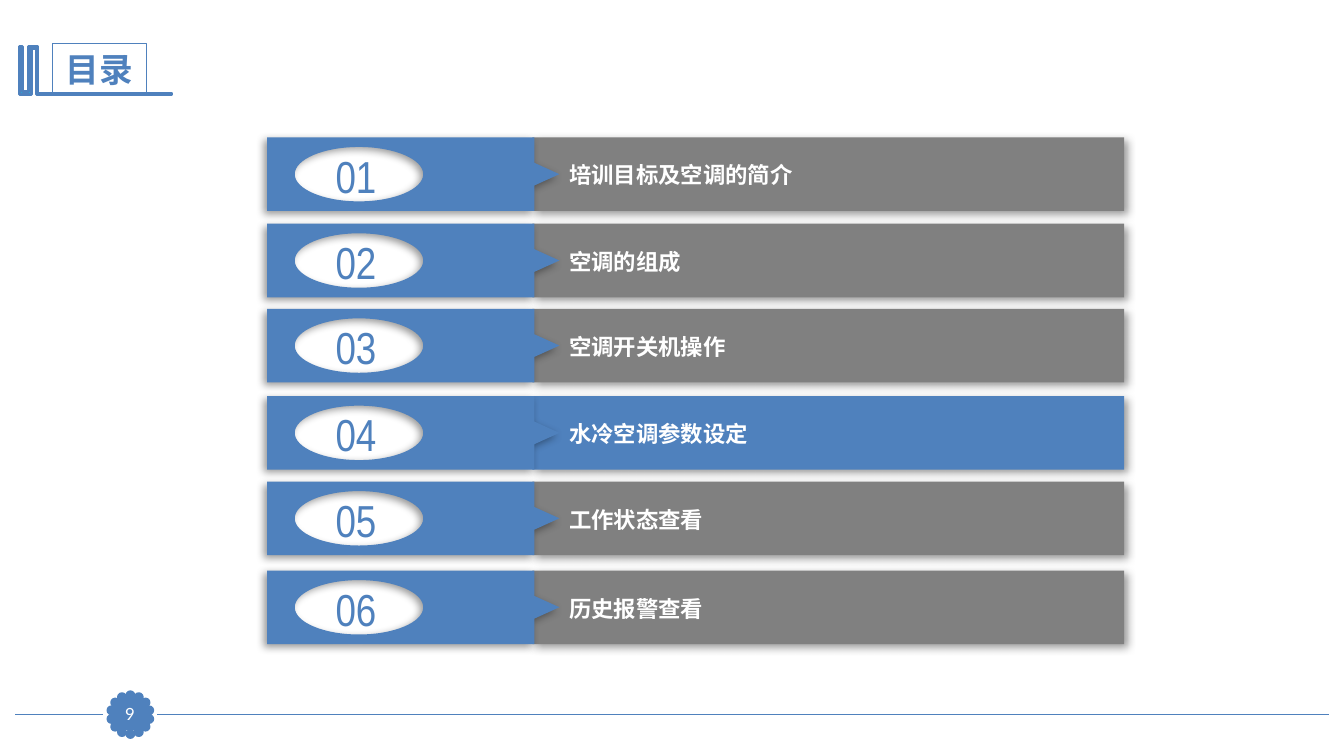
from dataclasses import dataclass
from math import cos, pi, sin

from lxml.etree import SubElement
from pptx import Presentation
from pptx.dml.color import RGBColor
from pptx.enum.shapes import MSO_CONNECTOR as Conn, MSO_SHAPE as Shp
from pptx.enum.text import MSO_ANCHOR as Anchor, PP_ALIGN as Align
from pptx.oxml.ns import qn
from pptx.shapes.autoshape import Shape
from pptx.shapes.shapetree import SlideShapes
from pptx.util import Emu, Inches, Pt

BLUE = RGBColor(0x4F, 0x81, 0xBD)
CYAN = RGBColor(0x28, 0xA9, 0xD6)
GRAY = RGBColor(0x80, 0x80, 0x80)
WHITE = RGBColor(0xFF, 0xFF, 0xFF)
SLIDE_W, SLIDE_H = Inches(13.33), Inches(7.5)
HEAD_FONT, BODY_FONT = "Arial Narrow", "Lato"
Point = tuple[float, float]


@dataclass(frozen=True)
class Box:
    """Place on a grid of 100 columns by 100 rows."""
    left: float
    top: float
    width: float
    height: float

    def emu(self) -> tuple[Emu, Emu, Emu, Emu]:
        return col(self.left), row(self.top), col(self.width), row(self.height)


@dataclass(frozen=True)
class TextStyle:
    font: str
    size: int
    color: RGBColor
    bold: bool = False
    align: Align = Align.CENTER
    anchor: Anchor = Anchor.MIDDLE


@dataclass(frozen=True)
class Chapter:
    top: float
    title: str
    color: RGBColor = GRAY


HEADING = TextStyle(HEAD_FONT, 24, BLUE, bold=True)
NUMBER = TextStyle(HEAD_FONT, 32, BLUE)
CHAPTER = TextStyle(BODY_FONT, 16, WHITE, True, Align.LEFT, Anchor.TOP)
PAGE = TextStyle(BODY_FONT, 12, WHITE)

CHAPTERS = [
    Chapter(18.18, "培训目标及空调的简介"),
    Chapter(29.6, "空调的组成"),
    Chapter(40.85, "空调开关机操作"),
    Chapter(52.4, "水冷空调参数设定", BLUE),
    Chapter(63.7, "工作状态查看"),
    Chapter(75.47, "历史报警查看"),
]
BAR_H = 9.73
RIBBON = [
    (2.78, 6.13), (2.83, 6.13), (2.83, 12.3), (12.8, 12.3), (12.8, 12.53),
    (2.7, 12.53), (2.7, 6.4), (2.33, 6.4), (2.33, 12.53), (1.43, 12.53),
    (1.43, 6.13), (1.7, 6.13), (1.7, 12.13), (2.1, 12.13), (2.1, 6.13),
]
FOOTER_ROW = 94.53
PETALS = 14


def col(n: float) -> Emu:
    return Emu(round(SLIDE_W * n / 100))


def row(n: float) -> Emu:
    return Emu(round(SLIDE_H * n / 100))


def ring(x: float, y: float, rx: float, ry: float, count: int) -> list[Point]:
    angles = [2 * pi * i / count for i in range(count)]
    return [(x + rx * sin(a), y - ry * cos(a)) for a in angles]


def oval_controls(x: float, y: float, rx: float, ry: float) -> list[Point]:
    """Start point and control points of four Bezier quarters."""
    k = 0.55
    quarter = [(0, -1), (-k, -1), (-1, -k)]
    unit = []
    for _ in range(4):
        unit += quarter
        quarter = [(v, -u) for u, v in quarter]
    return [(x + rx * u, y + ry * v) for u, v in unit + unit[:1]]


def paint(s: Shape, fill: RGBColor | None, line_pt: float = 0) -> Shape:
    s.shadow.inherit = False
    if fill is None:
        s.fill.background()
    else:
        s.fill.solid()
        s.fill.fore_color.rgb = fill
    if line_pt:
        s.line.color.rgb = BLUE
        s.line.width = Pt(line_pt)
    else:
        s.line.fill.background()
    return s


def cast_shadow(s: Shape, degrees: int) -> None:
    effects = s._element.spPr.find(qn("a:effectLst"))
    shadow = SubElement(effects, qn("a:outerShdw"), blurRad=str(Pt(6)), dist=str(Pt(3)),
                        dir=str(degrees * 60000), algn="tl", rotWithShape="0")
    black = SubElement(shadow, qn("a:srgbClr"), val="000000")
    SubElement(black, qn("a:alpha"), val="40000")


def write(s: Shape, text: str, style: TextStyle) -> None:
    tf = s.text_frame
    tf.word_wrap = True
    tf.vertical_anchor = style.anchor
    p = tf.paragraphs[0]
    p.text = text
    p.alignment = style.align
    p.font.name = style.font
    p.font.size = Pt(style.size)
    p.font.bold = style.bold
    p.font.color.rgb = style.color


def outline(shapes: SlideShapes, *contours: list[Point]) -> Shape:
    first, *holes = [[(col(x), row(y)) for x, y in c] for c in contours]
    builder = shapes.build_freeform(*first[0])
    builder.add_line_segments(first[1:], close=True)
    for hole in holes:
        builder.move_to(*hole[0])
        builder.add_line_segments(hole[1:], close=True)
    return builder.convert_to_shape()


def curve_hole(s: Shape) -> None:
    """Turn each three line steps of the second contour into one Bezier curve."""
    hole = list(s._element.iter(qn("a:moveTo")))[1]
    steps = list(hole.itersiblings(qn("a:lnTo")))
    for i in range(0, len(steps), 3):
        curve = hole.makeelement(qn("a:cubicBezTo"))
        steps[i].addprevious(curve)
        for step in steps[i:i + 3]:
            curve.append(step[0])
            step.getparent().remove(step)


def footer_line(shapes: SlideShapes, start: float, end: float) -> None:
    c = shapes.add_connector(Conn.STRAIGHT, col(start), row(FOOTER_ROW), col(end), row(FOOTER_ROW))
    c.line.color.rgb = BLUE
    c.line.width = Pt(1.25)
    SubElement(c._element.spPr, qn("a:effectLst"))


def add_footer(shapes: SlideShapes) -> None:
    footer_line(shapes, 98.87, 11.7)
    footer_line(shapes, 7.65, 1.13)
    w, h = 0.53, 0.93
    for x, y in ring(9.7, FOOTER_ROW, 1.44, 2.56, PETALS):
        petal = Box(x - w / 2, y - h / 2, w, h)
        paint(shapes.add_shape(Shp.OVAL, *petal.emu()), BLUE, 2)
    badge = paint(shapes.add_shape(Shp.RECTANGLE, *Box(8.48, 92.4, 2.4, 4.13).emu()), BLUE, 0.75)
    tf = badge.text_frame
    tf.margin_left = tf.margin_top = tf.margin_right = tf.margin_bottom = 0
    write(badge, "9", PAGE)


def add_heading(shapes: SlideShapes) -> None:
    paint(outline(shapes, RIBBON), CYAN, 2)
    frame = shapes.add_shape(Shp.RECTANGLE, *Box(3.9, 5.73, 6.98, 6.8).emu())
    write(paint(frame, None, 0.75), "目录", HEADING)


def add_chapter(shapes: SlideShapes, number: int, chapter: Chapter) -> None:
    top, middle = chapter.top, chapter.top + BAR_H / 2
    bar = shapes.add_shape(Shp.RECTANGLE, *Box(39.61, top, 44.04, BAR_H).emu())
    cast_shadow(paint(bar, chapter.color), 45)
    # Blue tag with a pointer and an oval window
    left, right, tip, notch = 19.88, 39.76, 41.62, 1.5
    corners = [(left, top), (right, top), (right, middle - notch), (tip, middle),
               (right, middle + notch), (right, top + BAR_H), (left, top + BAR_H)]
    tag = outline(shapes, corners, oval_controls(26.71, middle, 4.78, 3.6))
    curve_hole(tag)
    cast_shadow(paint(tag, BLUE), 135)
    # Number and title
    label = shapes.add_textbox(*Box(23, top + 0.75, 6.98, 8.53).emu())
    write(label, f"{number:02d}", NUMBER)
    title = shapes.add_textbox(*Box(tip, top + 2.53, 42.09, 4.93).emu())
    write(title, chapter.title, CHAPTER)


def main() -> None:
    prs = Presentation()
    prs.slide_width, prs.slide_height = SLIDE_W, SLIDE_H
    shapes = prs.slides.add_slide(prs.slide_layouts[6]).shapes
    add_footer(shapes)
    add_heading(shapes)
    for number, chapter in enumerate(CHAPTERS, 1):
        add_chapter(shapes, number, chapter)
    prs.save("out.pptx")


if __name__ == "__main__":
    main()
